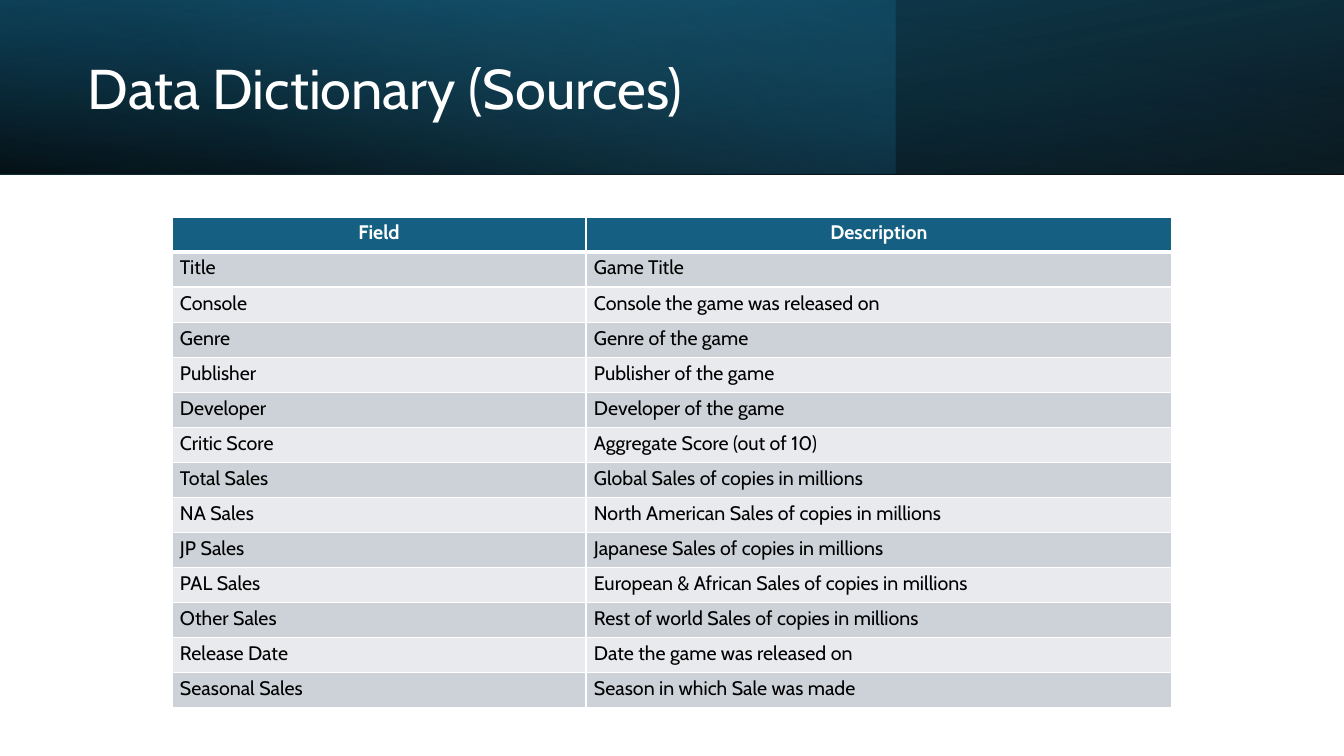
from lxml import etree
from pptx import Presentation
from pptx.dml.color import RGBColor
from pptx.enum.shapes import MSO_SHAPE
from pptx.enum.text import MSO_ANCHOR, PP_ALIGN
from pptx.oxml.ns import qn
from pptx.util import Pt

RECTANGLE = MSO_SHAPE.RECTANGLE
MIDDLE, LEFT, CENTER = MSO_ANCHOR.MIDDLE, PP_ALIGN.LEFT, PP_ALIGN.CENTER
EMU_PER_PX = 914400 / 100.8
FONT = "Cabin"
COLORS = {
    "white": "FFFFFF", "black": "000000", "teal": "156082", "deep": "104862",
    "sky": "46B1E1", "band_dark": "CCD2D8", "band_light": "E8EAED",
}
FIELDS = [
    ("Field", "Description"),
    ("Title", "Game Title"),
    ("Console", "Console the game was released on"),
    ("Genre", "Genre of the game"),
    ("Publisher", "Publisher of the game"),
    ("Developer", "Developer of the game"),
    ("Critic Score", "Aggregate Score (out of 10)"),
    ("Total Sales", "Global Sales of copies in millions"),
    ("NA Sales", "North American Sales of copies in millions"),
    ("JP Sales", "Japanese Sales of copies in millions"),
    ("PAL Sales", "European & African Sales of copies in millions"),
    ("Other Sales", "Rest of world Sales of copies in millions"),
    ("Release Date", "Date the game was released on"),
    ("Seasonal Sales", "Season in which Sale was made"),
]


def px(length):
    """Turn pixels into EMU."""
    return round(length * EMU_PER_PX)


def write_text(frame, text, size, color, bold=False, **formats):
    """Write one formatted paragraph into a text frame."""
    paragraph = frame.paragraphs[0]
    paragraph.text = text
    for name, value in formats.items():
        setattr(paragraph, name, value)
    font = paragraph.runs[0].font
    for name, value in {"name": FONT, "size": Pt(size), "bold": bold}.items():
        setattr(font, name, value)
    font.color.rgb = RGBColor.from_string(COLORS[color])


def add_color(parent, color, alpha=100):
    """Append a colour element with its opacity in percent."""
    element = etree.SubElement(parent, qn("a:srgbClr"), val=COLORS[color])
    if alpha < 100:
        etree.SubElement(element, qn("a:alpha"), val=str(alpha * 1000))


def add_gradient_band(slide, box, stops, angle, rotation=0, flipped=False):
    """Draw a borderless rectangle with a linear gradient."""
    shape = slide.shapes.add_shape(RECTANGLE, *map(px, box))
    properties = shape._element.spPr
    gradient = etree.SubElement(properties, qn("a:gradFill"), rotWithShape="1")
    stop_list = etree.SubElement(gradient, qn("a:gsLst"))
    for position, color, alpha in stops:
        stop = etree.SubElement(stop_list, qn("a:gs"), pos=str(position * 1000))
        add_color(stop, color, alpha)
    etree.SubElement(gradient, qn("a:lin"), ang=str(angle * 60000), scaled="0")
    shape.line.fill.background()
    shape.shadow.inherit = False
    shape.rotation = rotation
    if flipped:
        properties.xfrm.set("flipH", "1")


def add_header(slide, box, title):
    """Layer the header gradients and place the title on them."""
    left, top, width, height = box
    add_gradient_band(slide, box, [(0, "black", 96), (100, "deep", 100)], 100, 180, True)
    add_gradient_band(slide, (left, top, width * 2 // 3, height),
                      [(0, "teal", 41), (74, "sky", 0)], 140)
    add_gradient_band(slide, box, [(0, "black", 63), (78, "teal", 15)], 260, flipped=True)
    title_box = slide.shapes.add_textbox(px(left + 78), px(top + 27), px(778), px(128))
    frame = title_box.text_frame
    frame.word_wrap = True
    frame.vertical_anchor = MIDDLE
    write_text(frame, title, 40, "white", line_spacing=0.9)


def add_borders(cell, widths):
    """Give a cell white borders with widths in points by side."""
    properties = cell._tc.get_or_add_tcPr()
    for side, width in widths.items():
        line = etree.SubElement(properties, qn(f"a:ln{side}"), w=str(Pt(width)))
        add_color(etree.SubElement(line, qn("a:solidFill")), "white")


def add_dictionary(slide, box, column_widths, rows):
    """Draw the field table with a header row and banded body rows."""
    graphic = slide.shapes.add_table(len(rows), len(column_widths), *map(px, box))
    table = graphic.table
    table.horz_banding = False
    for column, width in zip(table.columns, column_widths):
        column.width = px(width)
    margins = {"margin_left": 8, "margin_top": 4, "margin_right": 8, "margin_bottom": 4}
    for index, texts in enumerate(rows):
        table.rows[index].height = px(box[3] / len(rows))
        header = index == 0
        fill = "teal" if header else ("band_light", "band_dark")[index % 2]
        borders = {"L": 1, "R": 1, "T": 3 if index == 1 else 1, "B": 3 if header else 1}
        for cell, text in zip(table.rows[index].cells, texts):
            for name, value in margins.items():
                setattr(cell, name, px(value))
            add_borders(cell, borders)
            cell.fill.solid()
            cell.fill.fore_color.rgb = RGBColor.from_string(COLORS[fill])
            write_text(cell.text_frame, text, 14, "white" if header else "black",
                       header, alignment=CENTER if header else LEFT)


def main():
    """Build and save the slide."""
    presentation = Presentation()
    presentation.slide_width, presentation.slide_height = px(1344), px(756)
    slide = presentation.slides.add_slide(presentation.slide_layouts[6])
    add_header(slide, (0, 0, 1344, 174), "Data Dictionary (Sources)")
    add_dictionary(slide, (172, 217, 1000, 491), (414, 586), FIELDS)
    presentation.save("out.pptx")


if __name__ == "__main__":
    main()
